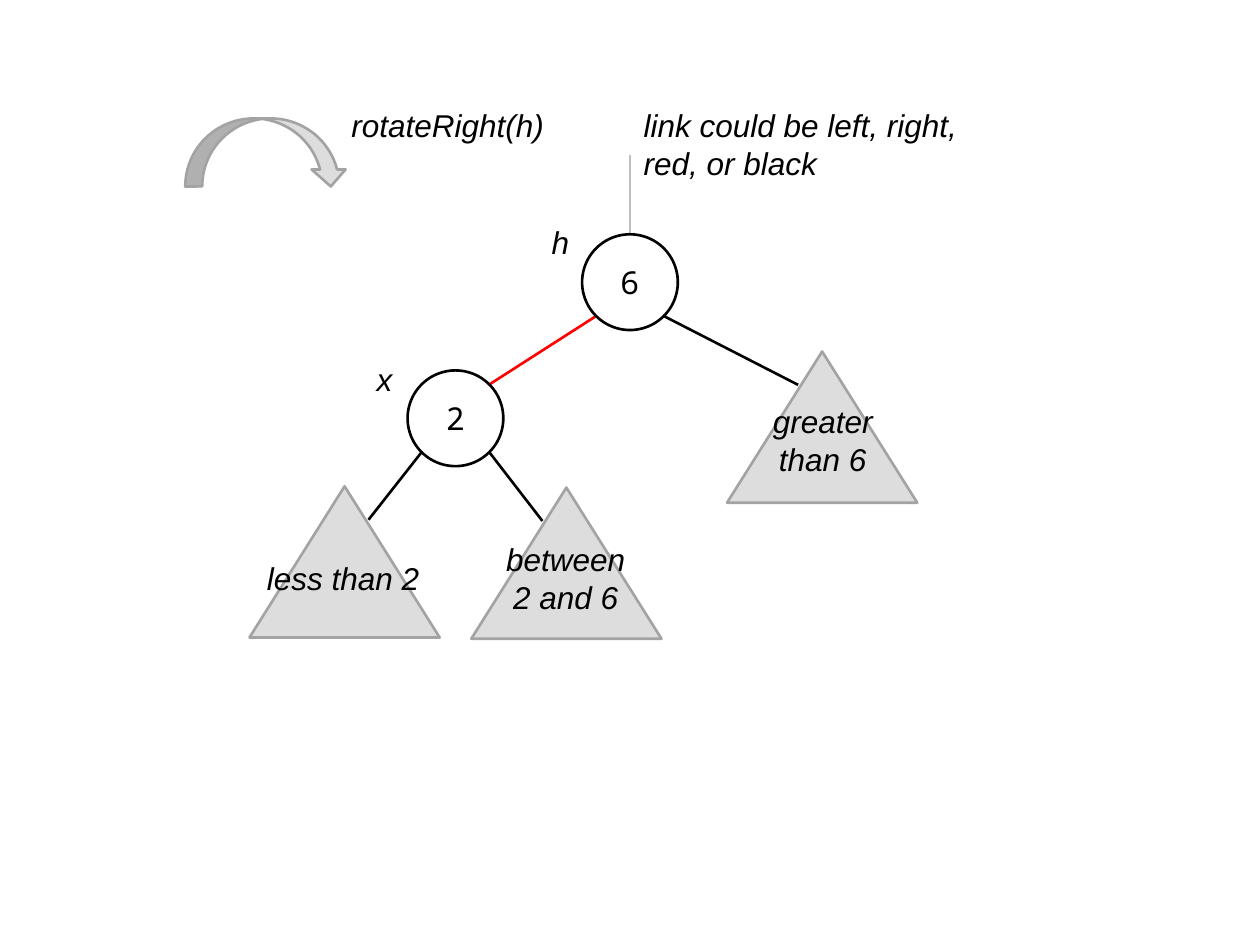
import pptx
import pptx.dml.color
import pptx.enum.shapes
import pptx.enum.text
import pptx.oxml.ns
import pptx.util
from lxml import etree

RGBColor = pptx.dml.color.RGBColor
Preset = pptx.enum.shapes.MSO_SHAPE
Align = pptx.enum.text.PP_ALIGN

BLACK = RGBColor(0x00, 0x00, 0x00)
RED = RGBColor(0xFF, 0x00, 0x00)
LIGHT_GRAY = RGBColor(0xDD, 0xDD, 0xDD)
MID_GRAY = RGBColor(0xBF, 0xBF, 0xBF)
DARK_GRAY = RGBColor(0xA3, 0xA3, 0xA3)

COLUMNS, ROWS = 100, 75
NODE_SIZE = 7.6
NODE_REACH = 2.68
SUBTREE_WIDTH, SUBTREE_HEIGHT = 15.1, 12
SUBTREE_REACH_X, SUBTREE_REACH_Y = 1.9, 2.65


class TreeSlide:
    """Draws a search tree on a slide measured in grid columns and rows."""

    label_font = "Arial"
    key_font = "Noto Sans Mono"
    text_size = pptx.util.Pt(18)
    line_width = pptx.util.Pt(1.5)

    def __init__(self, presentation):
        self.column = presentation.slide_width / COLUMNS
        self.row = presentation.slide_height / ROWS
        self.slide = presentation.slides.add_slide(presentation.slide_layouts[6])

    def place(self, x, y):
        return round(x * self.column), round(y * self.row)

    def add_text(self, paragraph, text, font_name, italic):
        for index, line in enumerate(text.split("\n")):
            if index:
                paragraph.add_line_break()
            run = paragraph.add_run()
            run.text = line
            run.font.name = font_name
            run.font.size = self.text_size
            run.font.italic = italic
            run.font.color.rgb = BLACK

    def link(self, start, end, color=BLACK):
        connector = self.slide.shapes.add_connector(
            pptx.enum.shapes.MSO_CONNECTOR.STRAIGHT, *self.place(*start), *self.place(*end))
        connector.line.color.rgb = color
        connector.line.width = self.line_width
        etree.SubElement(connector._element.spPr, pptx.oxml.ns.qn("a:effectLst"))

    def figure(self, preset, left, top, width, height, fill=LIGHT_GRAY, outline=DARK_GRAY):
        shape = self.slide.shapes.add_shape(
            preset, *self.place(left, top), *self.place(width, height))
        shape.shadow.inherit = False
        if fill is None:
            shape.fill.background()
        else:
            shape.fill.solid()
            shape.fill.fore_color.rgb = fill
        shape.line.color.rgb = outline
        shape.line.width = self.line_width
        return shape

    def node(self, center, key):
        x, y = center
        shape = self.figure(Preset.OVAL, x - NODE_SIZE / 2, y - NODE_SIZE / 2,
                            NODE_SIZE, NODE_SIZE, None, BLACK)
        shape.text_frame.vertical_anchor = pptx.enum.text.MSO_ANCHOR.MIDDLE
        paragraph = shape.text_frame.paragraphs[0]
        paragraph.alignment = Align.CENTER
        self.add_text(paragraph, key, self.key_font, False)

    def subtree(self, parent, apex):
        side = 1 if apex[0] > parent[0] else -1
        self.link((parent[0] + side * NODE_REACH, parent[1] + NODE_REACH),
                  (apex[0] - side * SUBTREE_REACH_X, apex[1] + SUBTREE_REACH_Y))
        self.figure(Preset.ISOSCELES_TRIANGLE, apex[0] - SUBTREE_WIDTH / 2, apex[1],
                    SUBTREE_WIDTH, SUBTREE_HEIGHT)

    def label(self, left, top, width, height, *lines, alignment=Align.LEFT):
        box = self.slide.shapes.add_textbox(*self.place(left, top), *self.place(width, height))
        frame = box.text_frame
        frame.word_wrap = False
        frame.auto_size = pptx.enum.text.MSO_AUTO_SIZE.SHAPE_TO_FIT_TEXT
        for index, line in enumerate(lines):
            paragraph = frame.add_paragraph() if index else frame.paragraphs[0]
            paragraph.alignment = alignment
            self.add_text(paragraph, line, self.label_font, True)


def main():
    presentation = pptx.Presentation()
    presentation.slide_width = pptx.util.Inches(10)
    presentation.slide_height = pptx.util.Inches(7.5)
    tree = TreeSlide(presentation)

    root, child = (50, 22.4), (36.15, 33.2)
    tree.link((root[0], root[1] - NODE_SIZE / 2), (root[0], 12.3), MID_GRAY)
    tree.link((root[0] - NODE_REACH, root[1] + NODE_REACH),
              (child[0] + NODE_REACH, child[1] - NODE_REACH), RED)
    tree.node(root, "6")
    tree.node(child, "2")
    for parent, apex in ((child, (27.35, 38.6)), (child, (44.95, 38.7)), (root, (65.25, 27.9))):
        tree.subtree(parent, apex)

    tree.label(20.2, 43.9, 14.2, 4, "less than 2")
    tree.label(39, 42.4, 11.8, 7.1, "between\n2 and 6", alignment=Align.CENTER)
    tree.label(60.3, 31.4, 10, 7.1, "greater", "than 6", alignment=Align.CENTER)
    tree.label(50.1, 7.9, 27.1, 7.1, "link could be left, right,", "red, or black")
    tree.label(42.8, 17.2, 3.4, 4, "h")
    tree.label(28.9, 28.1, 3.3, 4, "x")
    tree.figure(Preset.CURVED_DOWN_ARROW, 14.7, 9.4, 12.9, 5.4)
    tree.label(26.9, 7.9, 17.4, 4, "rotateRight(h)")

    presentation.save("out.pptx")


if __name__ == "__main__":
    main()
